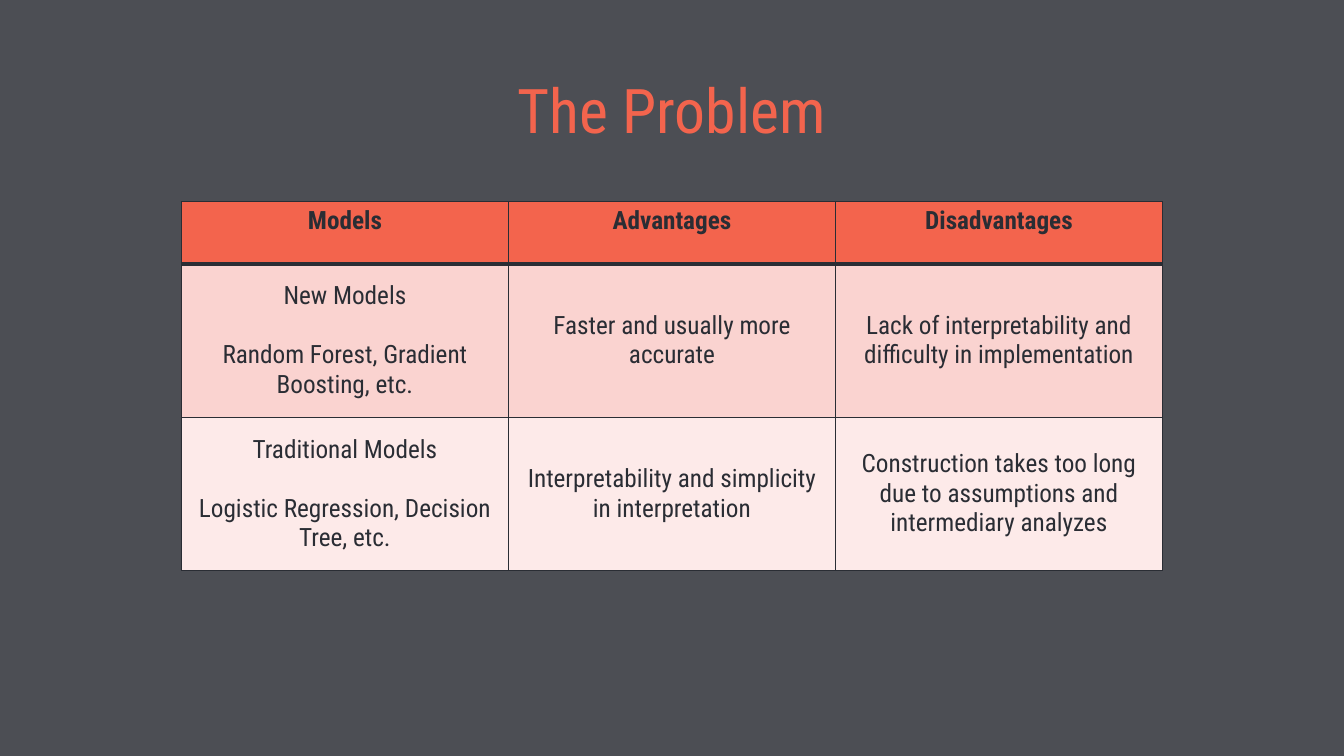
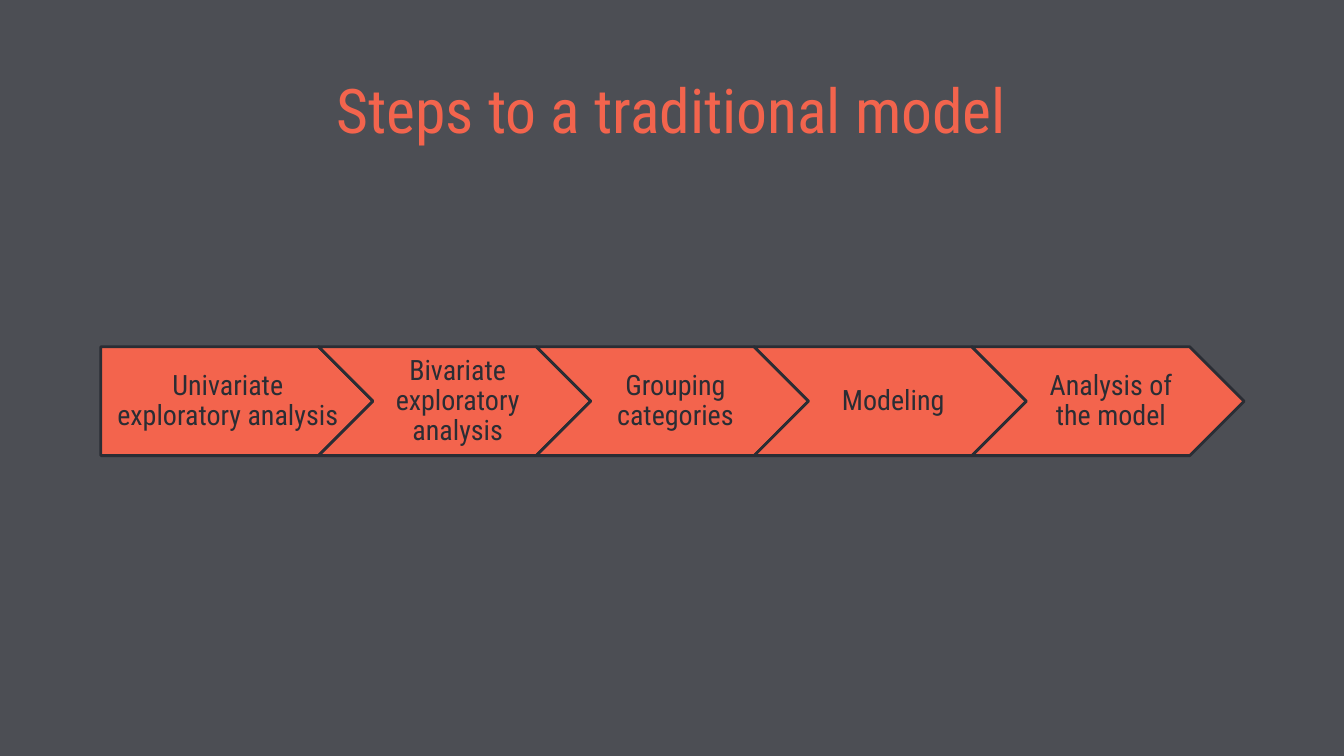
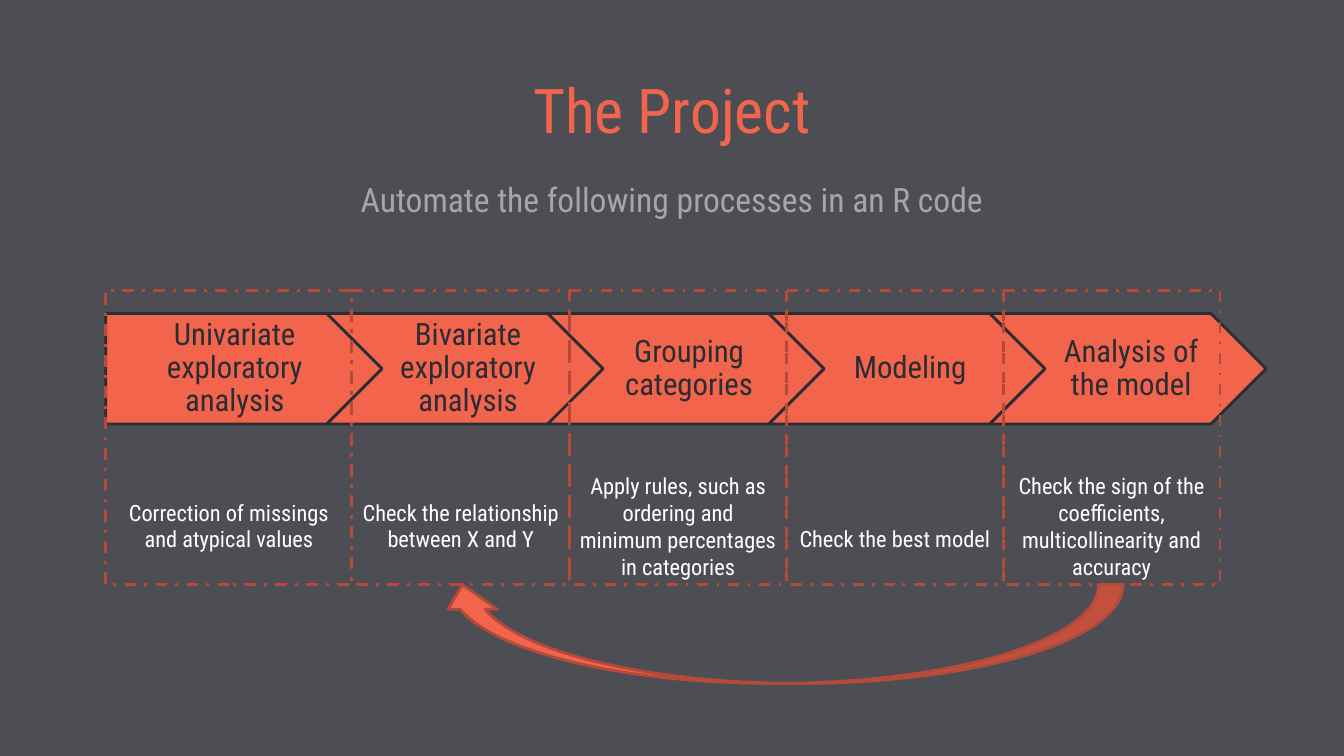
from lxml import etree
from pptx import Presentation
from pptx.dml.color import RGBColor
from pptx.enum import dml, shapes, text
from pptx.oxml import ns
from pptx.util import Inches, Pt

FONT = "Roboto Condensed"
SLATE = RGBColor(0x4C, 0x4E, 0x54)
CORAL = RGBColor(0xF3, 0x64, 0x4D)
BRICK = RGBColor(0xB4, 0x4A, 0x39)
INK = RGBColor(0x2A, 0x2D, 0x34)
ROSE = RGBColor(0xFA, 0xD3, 0xD0)
BLUSH = RGBColor(0xFD, 0xEA, 0xE9)
GREY = RGBColor(0xA5, 0xA6, 0xA9)
WHITE = RGBColor(0xFF, 0xFF, 0xFF)

STEPS = ["Univariate exploratory analysis", "Bivariate exploratory analysis",
         "Grouping categories", "Modeling", "Analysis of the model"]

MODELS = [
    ["Models", "Advantages", "Disadvantages"],
    ["New Models\nRandom Forest, Gradient Boosting, etc.",
     "Faster and usually more accurate",
     "Lack of interpretability and difficulty in implementation"],
    ["Traditional Models\nLogistic Regression, Decision Tree, etc.",
     "Interpretability and simplicity in interpretation",
     "Construction takes too long due to assumptions and intermediary analyzes"],
]

# Task text and the room kept free below it
TASKS = [
    ("Correction of missings and atypical values", 0.32),
    ("Check the relationship between X and Y", 0.32),
    ("Apply rules, such as ordering and minimum percentages in categories", 0.05),
    ("Check the best model", 0.32),
    ("Check the sign of the coefficients, multicollinearity and accuracy", 0.05),
]
TASK_EDGES = [1.05, 3.49, 5.65, 7.8, 9.95, 12.1]


def write(frame, content, size, color, bold=False, spacing=None, gap=0):
    """Fill a text frame with centred paragraphs, gap points apart."""
    frame.word_wrap = True
    frame.text = content
    for index, paragraph in enumerate(frame.paragraphs):
        paragraph.alignment = text.PP_ALIGN.CENTER
        paragraph.line_spacing = spacing
        if index:
            paragraph.space_before = Pt(gap)
        font = paragraph.font
        font.name, font.size, font.bold = FONT, Pt(size), bold
        font.color.rgb = color


def set_insets(frame, left, top, right, bottom):
    frame.margin_left, frame.margin_top = Inches(left), Inches(top)
    frame.margin_right, frame.margin_bottom = Inches(right), Inches(bottom)


def add_heading(slide, content, top, height, size, color, anchor):
    box = slide.shapes.add_textbox(Inches(1), Inches(top), Inches(11.33), Inches(height))
    set_insets(box.text_frame, 0, 0, 0, 0)
    box.text_frame.vertical_anchor = anchor
    write(box.text_frame, content, size, color, spacing=0.9)


def add_titled_slide(prs, title):
    slide = prs.slides.add_slide(prs.slide_layouts[6])
    add_heading(slide, title, 0.68, 0.89, 44, CORAL, text.MSO_ANCHOR.MIDDLE)
    return slide


def add_outlined(slide, kind, left, top, width, height, line, fill=None):
    shape = slide.shapes.add_shape(kind, Inches(left), Inches(top),
                                   Inches(width), Inches(height))
    shape.shadow.inherit = False
    if fill is None:
        shape.fill.background()
    else:
        shape.fill.solid()
        shape.fill.fore_color.rgb = fill
    shape.line.color.rgb = line
    shape.line.width = Pt(2)
    return shape


def add_process(slide, left, top, width, size):
    """Row of interlocking arrows, one per step."""
    for index, step in enumerate(STEPS):
        kind = shapes.MSO_SHAPE.CHEVRON if index else shapes.MSO_SHAPE.PENTAGON
        arrow = add_outlined(slide, kind, left + index * 0.8 * width, top,
                             width, 0.4 * width, INK, CORAL)
        frame = arrow.text_frame
        set_insets(frame, 0.09 if index else 0.12, 0.06, 0.03, 0.06)
        frame.vertical_anchor = text.MSO_ANCHOR.MIDDLE
        write(frame, step, size, INK, spacing=0.9)


def add_borders(cell, **widths):
    """Draw the cell edges L, R, T and B with the given widths in points."""
    properties = cell._tc.get_or_add_tcPr()
    for side, width in widths.items():
        edge = etree.SubElement(properties, ns.qn(f"a:ln{side}"), w=str(Pt(width)))
        paint = etree.SubElement(edge, ns.qn("a:solidFill"))
        etree.SubElement(paint, ns.qn("a:srgbClr"), val=str(INK))


def add_model_table(slide):
    table = slide.shapes.add_table(3, 3, Inches(1.8), Inches(2),
                                   Inches(9.73), Inches(3.66)).table
    for row, height in zip(table.rows, (0.62, 1.52, 1.52)):
        row.height = Inches(height)
    for r, (entries, fill) in enumerate(zip(MODELS, (CORAL, ROSE, BLUSH))):
        header = r == 0
        for c, entry in enumerate(entries):
            cell = table.cell(r, c)
            add_borders(cell, L=1, R=1, T=3 if r == 1 else 1, B=3 if header else 1)
            cell.fill.solid()
            cell.fill.fore_color.rgb = fill
            cell.vertical_anchor = (text.MSO_ANCHOR.TOP if header
                                    else text.MSO_ANCHOR.MIDDLE)
            write(cell.text_frame, entry, 18, INK, bold=header, gap=21)


def add_task_frames(slide):
    for (task, room), left, right in zip(TASKS, TASK_EDGES, TASK_EDGES[1:]):
        box = add_outlined(slide, shapes.MSO_SHAPE.RECTANGLE, left, 2.88,
                           right - left, 2.92, BRICK)
        box.line.dash_style = dml.MSO_LINE.DASH_DOT
        set_insets(box.text_frame, 0.1, 0.05, 0.1, room)
        box.text_frame.vertical_anchor = text.MSO_ANCHOR.BOTTOM
        write(box.text_frame, task, 16, WHITE)


def main():
    prs = Presentation()
    prs.slide_width, prs.slide_height = Inches(13.33), Inches(7.5)
    backdrop = prs.slide_master.background.fill
    backdrop.solid()
    backdrop.fore_color.rgb = SLATE

    # Comparison of model families
    add_model_table(add_titled_slide(prs, "The Problem"))

    # Process overview
    add_process(add_titled_slide(prs, "Steps to a traditional model"), 1, 3.44, 2.7, 20)

    # Process with the tasks to automate
    project = add_titled_slide(prs, "The Project")
    add_heading(project, "Automate the following processes in an R code",
                1.82, 0.52, 24, GREY, text.MSO_ANCHOR.TOP)
    add_process(project, 1.05, 3.11, 2.74, 22)
    add_task_frames(project)
    feedback = add_outlined(project, shapes.MSO_SHAPE.CURVED_LEFT_ARROW,
                            7.25, 2.89, 0.98, 6.8, BRICK, CORAL)
    feedback.rotation = 90

    prs.save("out.pptx")


if __name__ == "__main__":
    main()
